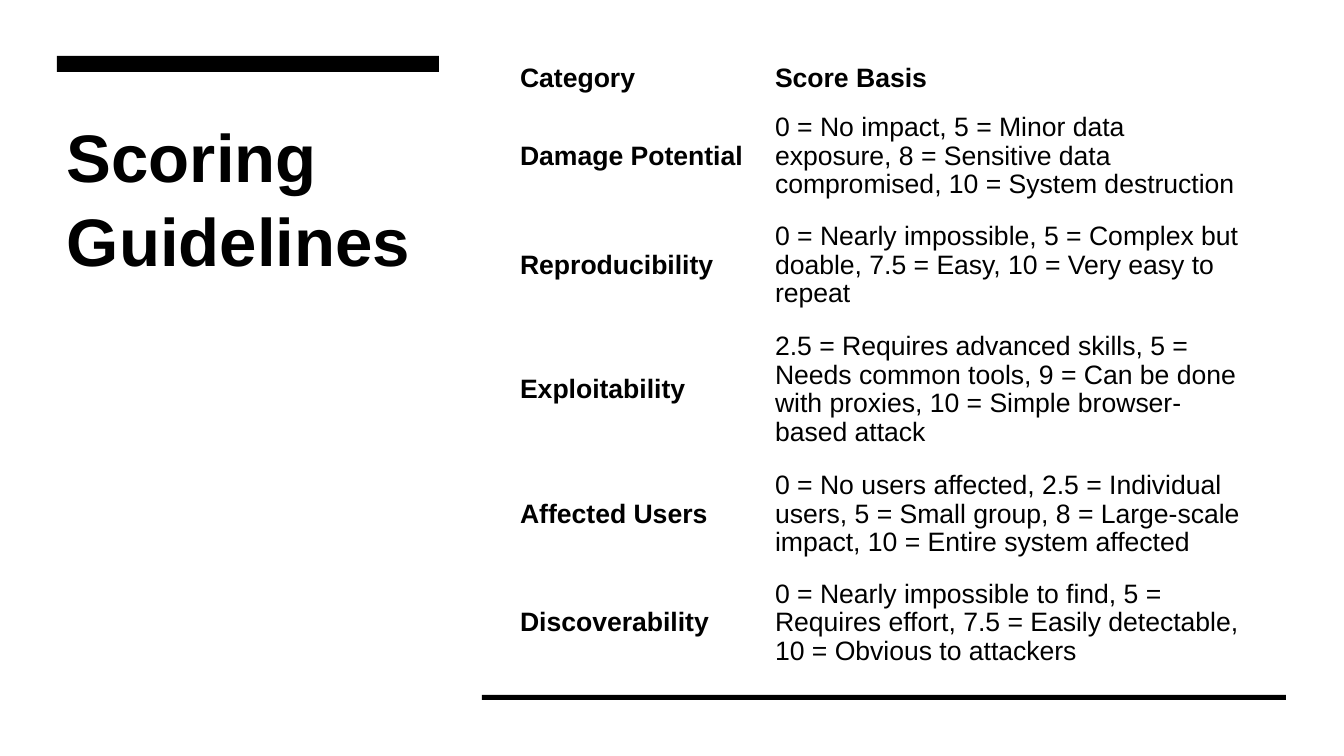
import pptx
import pptx.dml.color
import pptx.enum.shapes
import pptx.enum.text
import pptx.util

TITLE = "Scoring Guidelines"
SCORES = [
    ("Category", "Score Basis"),
    ("Damage Potential", "0 = No impact, 5 = Minor data exposure, 8 = Sensitive data compromised, 10 = System destruction"),
    ("Reproducibility", "0 = Nearly impossible, 5 = Complex but doable, 7.5 = Easy, 10 = Very easy to repeat"),
    ("Exploitability", "2.5 = Requires advanced skills, 5 = Needs common tools, 9 = Can be done with proxies, 10 = Simple browser-based attack"),
    ("Affected Users", "0 = No users affected, 2.5 = Individual users, 5 = Small group, 8 = Large-scale impact, 10 = Entire system affected"),
    ("Discoverability", "0 = Nearly impossible to find, 5 = Requires effort, 7.5 = Easily detectable, 10 = Obvious to attackers"),
]
COLORS = {"ink": "000000", "paper": "FFFFFF"}
FONT = "Arial"
COLUMN_WIDTHS = [255, 493]
ROW_HEIGHTS = [46, 109, 109, 140, 109, 109]
RULES = [(57, 56, 382, 16), (482, 695, 804, 5)]


def px(length):
    return pptx.util.Emu(round(length * 914400 / 100.8))


def color(name):
    return pptx.dml.color.RGBColor.from_string(COLORS[name])


def write(frame, text, size, bold, spacing):
    frame.word_wrap = True
    paragraph = frame.paragraphs[0]
    paragraph.text = text
    paragraph.line_spacing = spacing
    paragraph.font.name = FONT
    paragraph.font.size = pptx.util.Pt(size)
    paragraph.font.bold = bold
    paragraph.font.color.rgb = color("ink")


def main():
    deck = pptx.Presentation()
    deck.slide_width, deck.slide_height = px(1344), px(756)
    slide = deck.slides.add_slide(deck.slide_layouts[6])
    slide.background.fill.solid()
    slide.background.fill.fore_color.rgb = color("paper")

    title = slide.shapes.add_textbox(px(57), px(107), px(382), px(325))
    write(title.text_frame, TITLE, 48, True, 1.04)

    for box in RULES:
        rule = slide.shapes.add_shape(pptx.enum.shapes.MSO_SHAPE.RECTANGLE, *map(px, box))
        rule.shadow.inherit = False
        rule.fill.solid()
        rule.fill.fore_color.rgb = color("ink")
        rule.line.fill.background()

    scores = slide.shapes.add_table(
        len(SCORES), len(COLUMN_WIDTHS), px(510), px(56), px(sum(COLUMN_WIDTHS)), px(sum(ROW_HEIGHTS))
    ).table
    scores.horz_banding = False
    for column, width in zip(scores.columns, COLUMN_WIDTHS):
        column.width = px(width)
    for row, height in zip(scores.rows, ROW_HEIGHTS):
        row.height = px(height)
    for r, entry in enumerate(SCORES):
        for c, text in enumerate(entry):
            cell = scores.cell(r, c)
            cell.fill.solid()
            cell.fill.fore_color.rgb = color("paper")
            cell.vertical_anchor = pptx.enum.text.MSO_ANCHOR.MIDDLE
            write(cell.text_frame, text, 19, r == 0 or c == 0, 0.97)

    deck.save("out.pptx")


if __name__ == "__main__":
    main()
